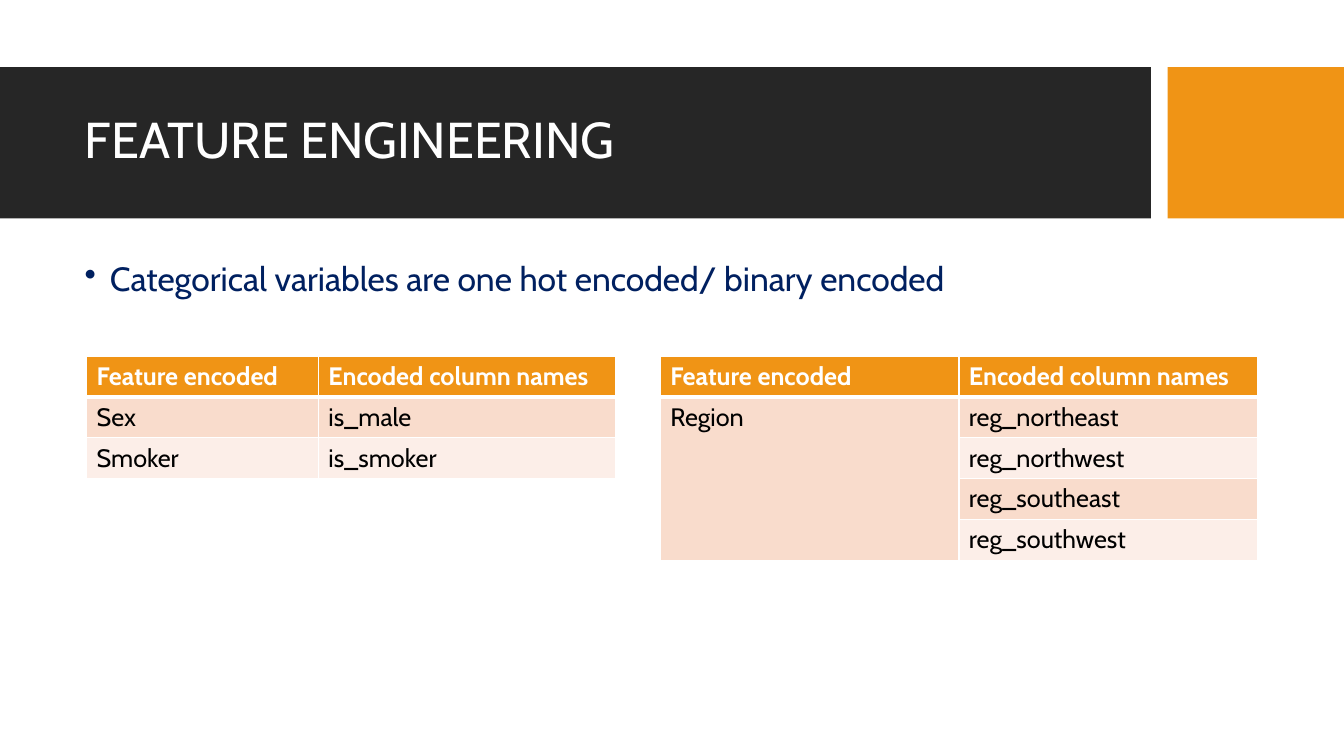
from lxml.etree import SubElement
from pptx import Presentation
from pptx.dml.color import RGBColor
from pptx.enum.shapes import MSO_SHAPE
from pptx.enum.text import MSO_ANCHOR, MSO_AUTO_SIZE, PP_ALIGN
from pptx.oxml.ns import qn
from pptx.util import Inches, Pt

WHITE = RGBColor(0xFF, 0xFF, 0xFF)
BLACK = RGBColor(0x00, 0x00, 0x00)
CHARCOAL = RGBColor(0x26, 0x26, 0x26)
ORANGE = RGBColor(0xF0, 0x94, 0x15)
NAVY = RGBColor(0x00, 0x20, 0x60)
PEACH = RGBColor(0xF9, 0xDC, 0xCC)
PALE_PEACH = RGBColor(0xFC, 0xEE, 0xE8)

COLUMNS = 80
ROWS = 45
TABLE_TOP = 21.2
TABLE_ROW = 2.43
HEADINGS = ("Feature encoded", "Encoded column names")


class SlideBuilder:
    """Draw styled elements on one slide, measured in grid columns and rows."""

    def __init__(self, deck, font_name="Cabin"):
        """Add a title-only slide to the deck."""
        self.font_name = font_name
        self.column = deck.slide_width / COLUMNS
        self.row = deck.slide_height / ROWS
        self.page = deck.slides.add_slide(deck.slide_layouts[5])

    def place(self, left, top, width, height):
        """Turn a grid area into slide lengths."""
        return (round(left * self.column), round(top * self.row),
                round(width * self.column), round(height * self.row))

    def set_text(self, frame, text, size, color, bold=False):
        """Fill a text frame with one paragraph and return it."""
        frame.text = text
        para = frame.paragraphs[0]
        para.alignment = PP_ALIGN.LEFT
        para.font.name = self.font_name
        para.font.size = Pt(size)
        para.font.bold = bold
        para.font.color.rgb = color
        return para

    def band(self, area, color):
        """Draw a plain rectangle behind the title."""
        shape = self.page.shapes.add_shape(MSO_SHAPE.RECTANGLE, *self.place(*area))
        shape.shadow.inherit = False
        shape.fill.solid()
        shape.fill.fore_color.rgb = color
        shape.line.fill.background()
        self.page.shapes.title.element.addprevious(shape.element)

    def title(self, area, text):
        """Move and format the title placeholder."""
        title = self.page.shapes.title
        title.left, title.top, title.width, title.height = self.place(*area)
        frame = title.text_frame
        frame.word_wrap = True
        frame.auto_size = MSO_AUTO_SIZE.NONE
        frame.vertical_anchor = MSO_ANCHOR.MIDDLE
        self.set_text(frame, text, 36, WHITE).line_spacing = 0.9

    def bullet(self, area, text):
        """Add a text box with one bulleted paragraph."""
        frame = self.page.shapes.add_textbox(*self.place(*area)).text_frame
        frame.word_wrap = True
        para = self.set_text(frame, text, 24, NAVY)
        para.line_spacing = 0.9
        para.space_before = Pt(10)
        properties = para._p.get_or_add_pPr()
        properties.set("marL", str(Inches(0.25)))
        properties.set("indent", str(-Inches(0.25)))
        marker = SubElement(properties, qn("a:buChar"), char="•")
        default_run = properties.find(qn("a:defRPr"))
        if default_run is not None:
            default_run.addprevious(marker)

    def borders(self, cell, **widths):
        """Give a cell white borders of the named widths in points."""
        properties = cell._tc.get_or_add_tcPr()
        for side, width in widths.items():
            line = SubElement(properties, qn(f"a:ln{side}"), w=str(Pt(width)))
            fill = SubElement(line, qn("a:solidFill"))
            SubElement(fill, qn("a:srgbClr"), val=str(WHITE))

    def table(self, left, widths, records):
        """Add a banded table with an orange heading row."""
        rows = [HEADINGS, *records]
        area = self.place(left, TABLE_TOP, sum(widths), TABLE_ROW * len(rows))
        table = self.page.shapes.add_table(len(rows), len(widths), *area).table
        table.first_row = table.horz_banding = False
        for column, width in zip(table.columns, widths):
            column.width = round(width * self.column)
        for number, values in enumerate(rows):
            heading = number == 0
            table.rows[number].height = round(TABLE_ROW * self.row)
            fill = ORANGE if heading else (PALE_PEACH, PEACH)[number % 2]
            for position, value in enumerate(values):
                cell = table.cell(number, position)
                self.borders(cell, L=1, R=1, T=3 if number == 1 else 1,
                             B=3 if heading else 1)
                cell.fill.solid()
                cell.fill.fore_color.rgb = fill
                if value:
                    self.set_text(cell.text_frame, value, 18,
                                  WHITE if heading else BLACK, heading)
        return table


def main():
    """Build the feature engineering slide."""
    deck = Presentation()
    deck.slide_width, deck.slide_height = Inches(13.33), Inches(7.5)
    slide = SlideBuilder(deck)
    slide.band((0, 4, 68.5, 9), CHARCOAL)
    slide.band((69.5, 4, 10.5, 9), ORANGE)
    slide.title((4.45, 4.9, 63.05, 7.1), "FEATURE ENGINEERING")
    slide.bullet((4.45, 15.35, 63.05, 23.65),
                 "Categorical variables are one hot encoded/ binary encoded")
    slide.table(5.15, (13.8, 17.7), [("Sex", "is_male"), ("Smoker", "is_smoker")])
    regions = slide.table(39.3, (17.78, 17.78), [
        ("Region", "reg_northeast"),
        ("", "reg_northwest"),
        ("", "reg_southeast"),
        ("", "reg_southwest"),
    ])
    regions.cell(1, 0).merge(regions.cell(4, 0))
    deck.save("out.pptx")


if __name__ == "__main__":
    main()
